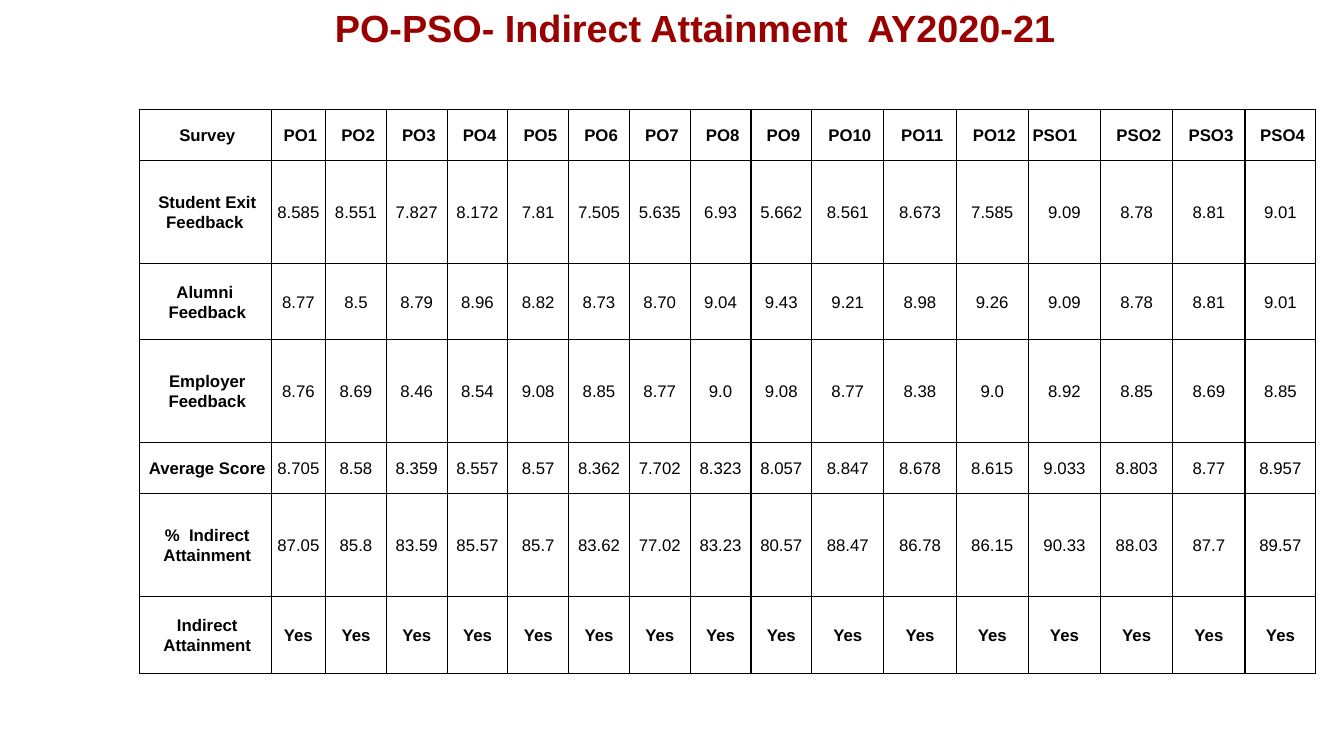
from pptx import Presentation
from pptx.dml.color import RGBColor
from pptx.enum.text import MSO_ANCHOR, MSO_AUTO_SIZE, PP_ALIGN
from pptx.oxml import parse_xml
from pptx.oxml.ns import nsdecls
from pptx.util import Pt

FONT = "Arial"
BLACK = RGBColor(0x00, 0x00, 0x00)
DARK_RED = RGBColor(0x99, 0x00, 0x00)

COLUMN_WIDTHS = [94.3, 38.9] + [43.4] * 8 + [51.6] * 6 + [50.6]
ROW_HEIGHTS = [36.6, 73.4, 54.8, 73.4, 36.6, 73.4, 54.8]
OUTCOMES = [f"PO{n}" for n in range(1, 13)] + [f"PSO{n}" for n in range(1, 5)]
SURVEY_ROWS = [
    ("Survey", OUTCOMES),
    ("Student Exit Feedback ",
     "8.585 8.551 7.827 8.172 7.81 7.505 5.635 6.93 5.662 8.561 8.673 7.585 9.09 8.78 8.81 9.01".split()),
    ("Alumni \nFeedback",
     "8.77 8.5 8.79 8.96 8.82 8.73 8.70 9.04 9.43 9.21 8.98 9.26 9.09 8.78 8.81 9.01".split()),
    ("Employer Feedback",
     "8.76 8.69 8.46 8.54 9.08 8.85 8.77 9.0 9.08 8.77 8.38 9.0 8.92 8.85 8.69 8.85".split()),
    ("Average Score",
     "8.705 8.58 8.359 8.557 8.57 8.362 7.702 8.323 8.057 8.847 8.678 8.615 9.033 8.803 8.77 8.957".split()),
    ("%  Indirect Attainment",
     "87.05 85.8 83.59 85.57 85.7 83.62 77.02 83.23 80.57 88.47 86.78 86.15 90.33 88.03 87.7 89.57".split()),
    ("Indirect Attainment", ["Yes"] * len(OUTCOMES)),
]


def add_span(para, text, size, color, bold):
    """Add one formatted run to a paragraph."""
    span = para.add_run()
    span.text = text
    span.font.name = FONT
    span.font.size = Pt(size)
    span.font.bold = bold
    span.font.color.rgb = color


def add_title(page, text):
    """Add the centred slide heading."""
    box = page.shapes.add_textbox(Pt(168), Pt(0), Pt(672), Pt(40.5))
    frame = box.text_frame
    frame.word_wrap = True
    frame.auto_size = MSO_AUTO_SIZE.SHAPE_TO_FIT_TEXT
    para = frame.paragraphs[0]
    para.alignment = PP_ALIGN.CENTER
    add_span(para, text, 27, DARK_RED, True)


def set_borders(cell):
    """Draw a thin black line on every side of a cell."""
    properties = cell._tc.get_or_add_tcPr()
    for position, side in enumerate(("lnL", "lnR", "lnT", "lnB")):
        properties.insert(position, parse_xml(
            f'<a:{side} {nsdecls("a")} w="{Pt(1)}"><a:solidFill>'
            f'<a:srgbClr val="{BLACK}"/></a:solidFill></a:{side}>'))


def fill_cell(cell, text, bold, indent, alignment):
    """Write the text of one table cell and set its look."""
    cell.margin_left = cell.margin_right = cell.margin_top = cell.margin_bottom = 0
    cell.vertical_anchor = MSO_ANCHOR.MIDDLE
    cell.fill.background()
    set_borders(cell)
    frame = cell.text_frame
    for number, line in enumerate(text.split("\n")):
        para = frame.add_paragraph() if number else frame.paragraphs[0]
        para.alignment = alignment
        para.line_spacing = 1.07
        para._p.get_or_add_pPr().set("marL", str(Pt(indent)))
        add_span(para, line, 12, BLACK, bold)


def add_survey_table(page):
    """Add the table of survey scores for each outcome."""
    frame = page.shapes.add_table(
        len(ROW_HEIGHTS), len(COLUMN_WIDTHS), Pt(99.4), Pt(78),
        Pt(sum(COLUMN_WIDTHS)), Pt(sum(ROW_HEIGHTS)))
    table = frame.table
    table.first_row = table.horz_banding = False
    for column, width in zip(table.columns, COLUMN_WIDTHS):
        column.width = Pt(width)
    for row, height in zip(table.rows, ROW_HEIGHTS):
        row.height = Pt(height)
    for row_number, (survey, values) in enumerate(SURVEY_ROWS):
        for column_number, text in enumerate([survey, *values]):
            heading = row_number == 0 or column_number == 0
            alignment = PP_ALIGN.LEFT if text == "PSO1" else PP_ALIGN.CENTER
            fill_cell(table.cell(row_number, column_number), text,
                      heading or text == "Yes", 3 if heading else 0, alignment)


def main():
    """Build the slide and save the deck."""
    deck = Presentation()
    deck.slide_width, deck.slide_height = Pt(960), Pt(540)
    page = deck.slides.add_slide(deck.slide_layouts[6])
    add_title(page, "PO-PSO- Indirect Attainment  AY2020-21  ")
    add_survey_table(page)
    deck.save("out.pptx")


if __name__ == "__main__":
    main()
